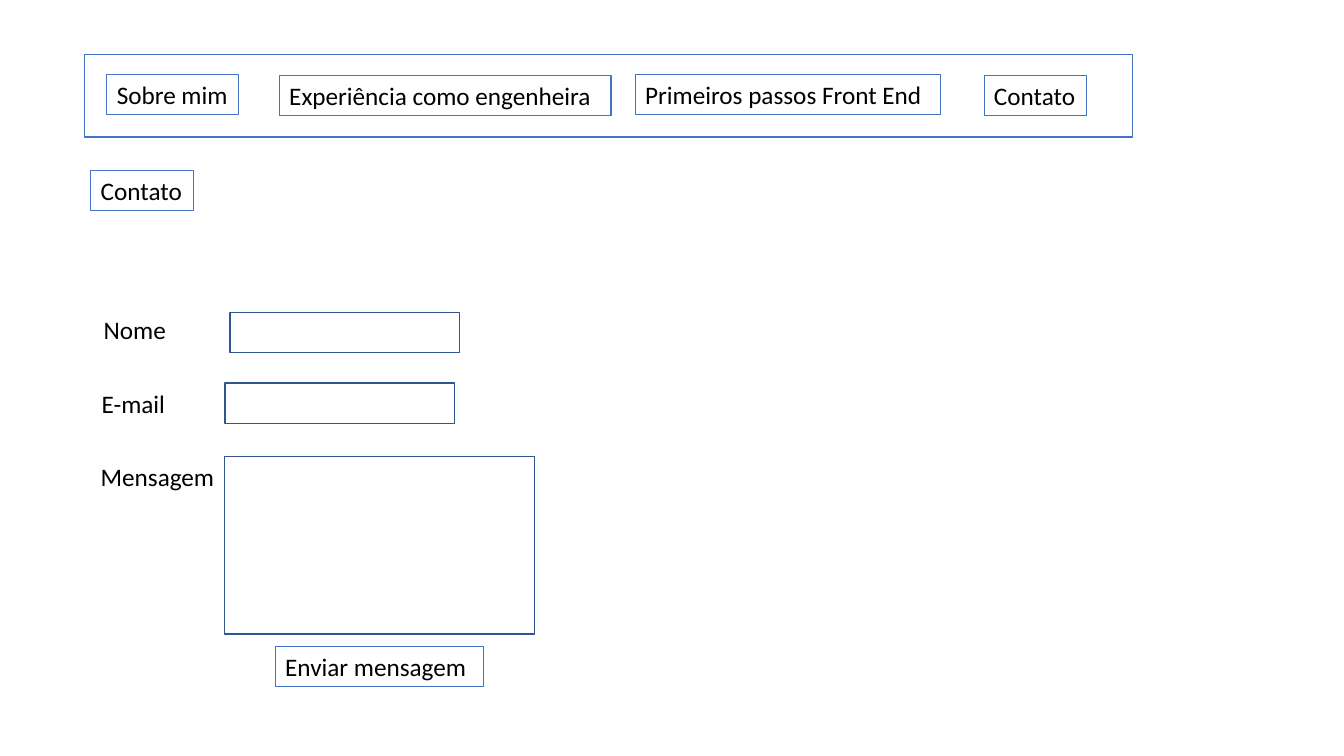
from dataclasses import dataclass

import pptx
import pptx.dml.color
import pptx.enum.shapes
import pptx.enum.text
import pptx.util
from pptx.util import Inches


@dataclass(frozen=True)
class Theme:
    font: str = "Calibri"
    text_size: float = 18
    text: str = "000000"
    accent: str = "4472C4"
    field: str = "325491"
    thin: float = 0.75
    medium: float = 1
    row_height: float = 0.4


THEME = Theme()


def rgb(value):
    return pptx.dml.color.RGBColor.from_string(value)


def outline(shape, color, weight):
    shape.line.color.rgb = rgb(color)
    shape.line.width = pptx.util.Pt(weight)


def add_frame(slide, left, top, width, height, color):
    """Draw an empty, unfilled rectangle."""
    frame = slide.shapes.add_shape(
        pptx.enum.shapes.MSO_SHAPE.RECTANGLE,
        Inches(left), Inches(top), Inches(width), Inches(height))
    frame.shadow.inherit = False
    frame.fill.background()
    outline(frame, color, THEME.medium)


def add_label(slide, wording, left, top, width):
    label = slide.shapes.add_textbox(
        Inches(left), Inches(top), Inches(width), Inches(THEME.row_height))
    frame = label.text_frame
    frame.word_wrap = False
    frame.auto_size = pptx.enum.text.MSO_AUTO_SIZE.SHAPE_TO_FIT_TEXT
    frame.text = wording
    font = frame.paragraphs[0].runs[0].font
    font.name = THEME.font
    font.size = pptx.util.Pt(THEME.text_size)
    font.color.rgb = rgb(THEME.text)
    return label


def add_boxed_label(slide, wording, left, top, width):
    outline(add_label(slide, wording, left, top, width), THEME.accent, THEME.thin)


def add_menu(slide, left, top, width, height):
    add_frame(slide, left, top, width, height, THEME.accent)
    entries = [
        ("Sobre mim", 0.22, 0.2, 1.31),
        ("Experiência como engenheira", 1.93, 0.21, 3.29),
        ("Primeiros passos Front End", 5.46, 0.2, 3.03),
        ("Contato", 8.92, 0.21, 1.02),
    ]
    for wording, dx, dy, entry_width in entries:
        add_boxed_label(slide, wording, left + dx, top + dy, entry_width)


def add_contact_form(slide, left, top):
    """Stack the labelled fields at an even pitch, with the send button below."""
    row_pitch = 0.73
    # label, its offset and width; field offsets and size
    rows = [
        ("Nome", 0.03, 0.83, 1.38, 0.03, 2.28, THEME.row_height),
        ("E-mail", 0.01, 0.84, 1.33, 0, 2.28, THEME.row_height),
        ("Mensagem", 0, 1.34, 1.33, 0, 3.07, 1.76),
    ]
    for index, (wording, label_dx, label_width, dx, dy, width, height) in enumerate(rows):
        row_top = top + index * row_pitch
        add_label(slide, wording, left + label_dx, row_top, label_width)
        add_frame(slide, left + dx, row_top + dy, width, height, THEME.field)
    add_boxed_label(slide, "Enviar mensagem", left + 1.83, top + 3.34, 2.07)


def main():
    deck = pptx.Presentation()
    deck.slide_width, deck.slide_height = Inches(13.33), Inches(7.5)
    slide = deck.slides.add_slide(deck.slide_layouts[6])
    add_menu(slide, 0.84, 0.54, 10.39, 0.82)
    add_boxed_label(slide, "Contato", 0.9, 1.69, 1.02)
    add_contact_form(slide, 0.9, 3.07)
    deck.save("out.pptx")


if __name__ == "__main__":
    main()
